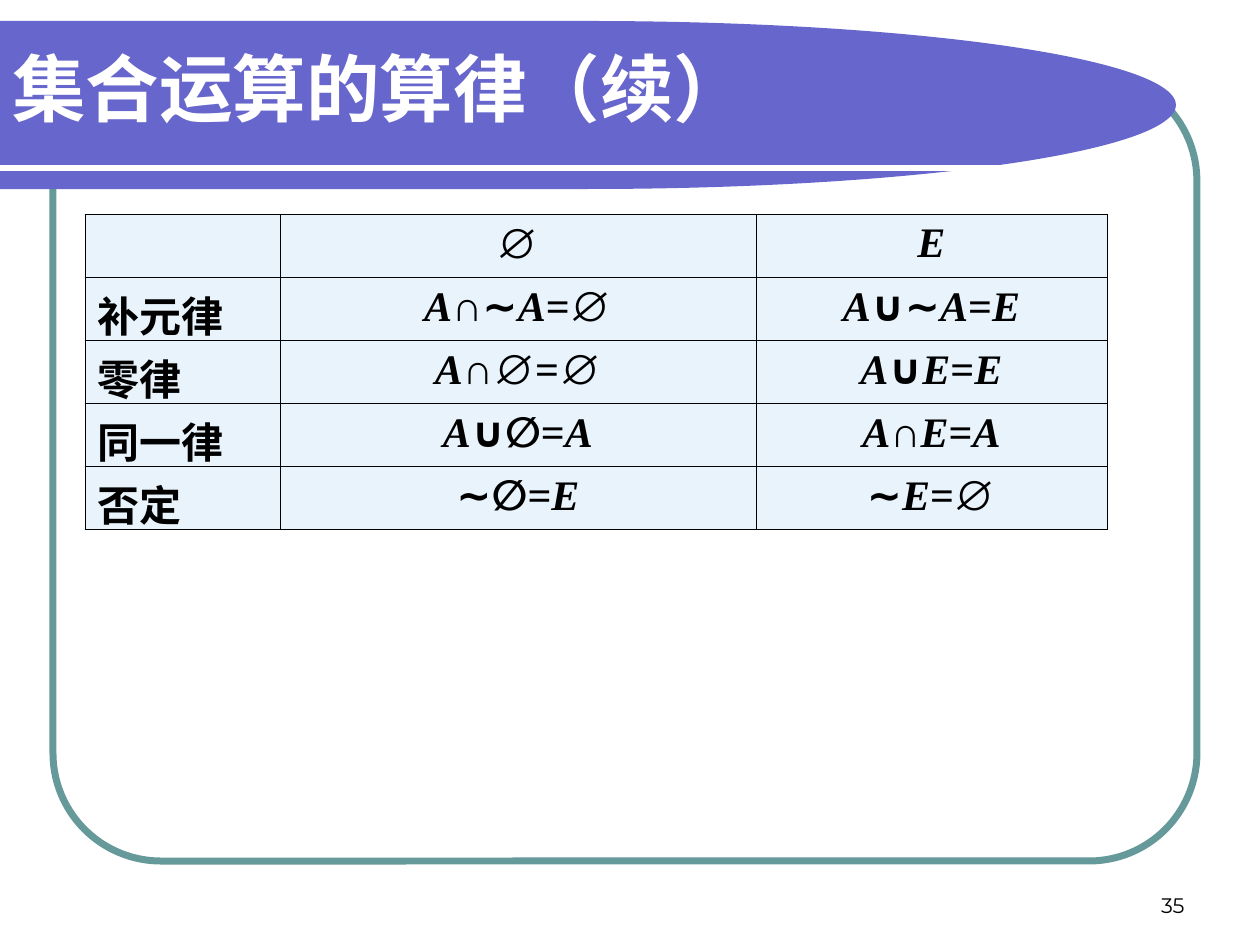
from dataclasses import dataclass
from itertools import groupby

from lxml import etree
from pptx import Presentation
from pptx.dml.color import RGBColor
from pptx.enum.shapes import MSO_CONNECTOR, MSO_SHAPE
from pptx.enum.text import MSO_ANCHOR, PP_ALIGN
from pptx.oxml import parse_xml
from pptx.oxml.ns import nsdecls, qn
from pptx.util import Pt

STRAIGHT = MSO_CONNECTOR.STRAIGHT
ROUNDED, BANNER = MSO_SHAPE.ROUNDED_RECTANGLE, MSO_SHAPE.FLOWCHART_DELAY
MIDDLE, BOTTOM = MSO_ANCHOR.MIDDLE, MSO_ANCHOR.BOTTOM
LEFT, CENTER, RIGHT = PP_ALIGN.LEFT, PP_ALIGN.CENTER, PP_ALIGN.RIGHT
PX = 914400 // 126


@dataclass
class Theme:
    teal: RGBColor = RGBColor(0x66, 0x99, 0x99)
    violet: RGBColor = RGBColor(0x66, 0x66, 0xCC)
    pale: RGBColor = RGBColor(0xE8, 0xF3, 0xFC)
    white: RGBColor = RGBColor(0xFF, 0xFF, 0xFF)
    black: RGBColor = RGBColor(0, 0, 0)
    title: Pt = Pt(42)
    body: Pt = Pt(24)
    small: Pt = Pt(12)


theme = Theme()


def set_font(font, name, size, color, bold=True):
    font.name, font.size, font.bold = name, size, bold
    font.color.rgb = color


def add_text(box, text, anchor, align, *style):
    tb = s.shapes.add_textbox(*(v * PX for v in box))
    tf = tb.text_frame
    tf.word_wrap = True
    tf.vertical_anchor = anchor
    p = tf.paragraphs[0]
    p.text, p.alignment = text, align
    set_font(p.font, *style)


prs = Presentation()
prs.slide_width, prs.slide_height = 1260 * PX, 945 * PX
s = prs.slides.add_slide(prs.slide_layouts[6])

frame = s.shapes.add_shape(ROUNDED, 53 * PX, 73 * PX, 1144 * PX, 788 * PX)
frame.adjustments[0] = 0.137
frame.shadow.inherit = False
frame.fill.background()
frame.line.color.rgb = theme.teal
frame.line.width = Pt(4)

banner = s.shapes.add_shape(BANNER, 0, 21 * PX, 1176 * PX, 168 * PX)
banner.shadow.inherit = False
banner.fill.solid()
banner.fill.fore_color.rgb = theme.violet
banner.line.fill.background()

rule = s.shapes.add_connector(STRAIGHT, 0, 168 * PX, 1113 * PX, 168 * PX)
rule.line.color.rgb = theme.white
rule.line.width = Pt(3)
etree.SubElement(rule.element.spPr, qn("a:effectLst"))

add_text((903, 861, 294, 63), "35", BOTTOM, RIGHT,
         "Montserrat", theme.small, theme.black, False)
add_text((0, 0, 1134, 175), "集合运算的算律（续）", MIDDLE, LEFT,
         "Arial", theme.title, theme.white)

laws = [
    ("", "∅", "E"),
    ("补元律", "A∩∼A=∅", "A∪∼A=E"),
    ("零律", "A∩∅=∅", "A∪E=E"),
    ("同一律", "A∪∅=A", "A∩E=A"),
    ("否定", "∼∅=E", "∼E=∅"),
]
widths = [195, 476, 351]
table = s.shapes.add_table(len(laws), len(widths), 85 * PX, 214 * PX,
                           sum(widths) * PX, 63 * len(laws) * PX).table
for column, width in zip(table.columns, widths):
    column.width = width * PX

for i, law in enumerate(laws):
    for j, text in enumerate(law):
        cell = table.cell(i, j)
        p = cell.text_frame.paragraphs[0]
        p.alignment = CENTER if j else LEFT
        set_font(p.font, "Times New Roman", theme.body, theme.black)
        for (symbol, italic), chars in groupby(text, lambda c: (c in "∅∩∪∼", c in "AE")):
            r = p.add_run()
            r.text = "".join(chars)
            r.font.name = "Arial" if symbol else "Times New Roman"
            r.font.italic = italic
        tcPr = cell._tc.get_or_add_tcPr()
        for side in ("lnL", "lnR", "lnT", "lnB"):
            tcPr.append(parse_xml(
                f'<a:{side} {nsdecls("a")} w="{Pt(0.45)}"><a:solidFill>'
                f'<a:srgbClr val="{theme.black}"/></a:solidFill></a:{side}>'))
        cell.fill.solid()
        cell.fill.fore_color.rgb = theme.pale

prs.save("out.pptx")
